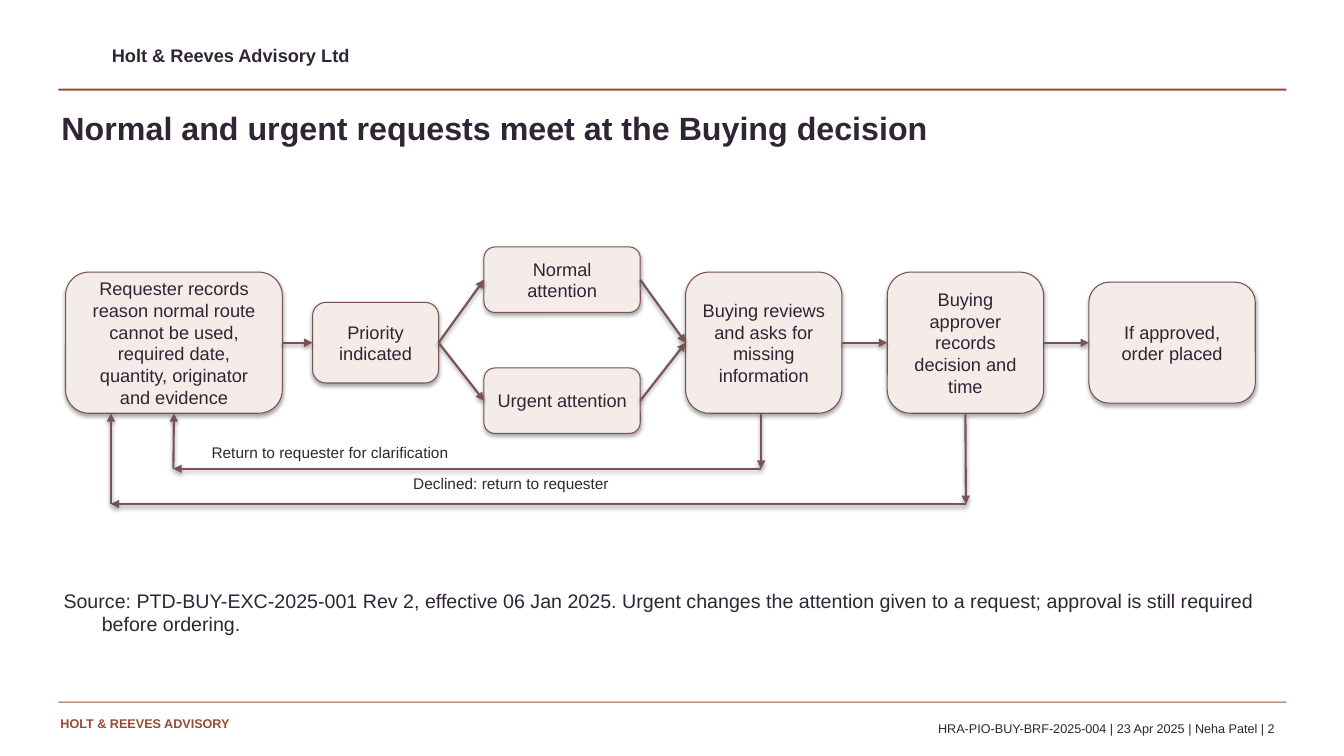
from dataclasses import dataclass
from itertools import pairwise
from lxml import etree
from pptx import Presentation
from pptx import util as u
from pptx.dml.color import RGBColor
from pptx.enum import shapes, text
from pptx.oxml import ns

FIRM = "Holt & Reeves Advisory Ltd"
FOOTER_FIRM = "HOLT & REEVES ADVISORY"
HEADLINE = "Normal and urgent requests meet at the Buying decision"
SOURCE = (
    "Source: PTD-BUY-EXC-2025-001 Rev 2, effective 06 Jan 2025. Urgent changes the "
    "attention given to a request; approval is still required before ordering."
)
REFERENCE = "HRA-PIO-BUY-BRF-2025-004 | 23 Apr 2025 | Neha Patel | 2"

STEPS = {
    "request": ("Requester records reason normal route cannot be used, required date, "
                "quantity, originator and evidence", (0.65, 2.7, 2.15, 1.4)),
    "priority": ("Priority indicated", (3.1, 3, 1.25, 0.8)),
    "normal": ("Normal attention", (4.8, 2.45, 1.55, 0.65)),
    "urgent": ("Urgent attention", (4.8, 3.65, 1.55, 0.65)),
    "review": ("Buying reviews and asks for missing information", (6.8, 2.7, 1.55, 1.4)),
    "approval": ("Buying approver records decision and time", (8.8, 2.7, 1.55, 1.4)),
    "order": ("If approved, order placed", (10.8, 2.8, 1.65, 1.2)),
}
FORWARD = [
    ("request", "priority"), ("priority", "normal"), ("priority", "urgent"),
    ("normal", "review"), ("urgent", "review"), ("review", "approval"), ("approval", "order"),
]
STEP_BOTTOM = 4.1
RETURNS = [
    ("Return to requester for clarification", (2, 4.35, 3.5, 0.25), 7.55, 4.65, 1.72,
     None, "request"),
    ("Declined: return to requester", (4, 4.65, 3, 0.25), 9.58, 5, 1.1, "approval", None),
]
BOTTOM, LEFT, RIGHT = 2, 1, 3


@dataclass(frozen=True)
class Theme:
    font: str = "Arial"
    ink: str = "302435"
    rust: str = "964B37"
    step_fill: str = "F4ECE8"
    step_line: str = "795258"
    headline: float = 23
    source: float = 14
    step: float = 13
    label: float = 11
    footer: float = 9


THEME = Theme()


def rgb(color):
    return RGBColor.from_string(color)


def inches(*lengths):
    return [u.Inches(length) for length in lengths]


def place(shape, box):
    shape.left, shape.top, shape.width, shape.height = inches(*box)


def write(frame, words, size=THEME.step, color=THEME.ink, bold=False,
          align=text.PP_ALIGN.LEFT, anchor=text.MSO_ANCHOR.TOP, inset=None, hanging=0):
    frame.word_wrap = True
    frame.auto_size = text.MSO_AUTO_SIZE.NONE
    frame.vertical_anchor = anchor
    if inset is not None:
        frame.margin_left = frame.margin_top = u.Inches(inset)
        frame.margin_right = frame.margin_bottom = u.Inches(inset)
    frame.text = words
    paragraph = frame.paragraphs[0]
    paragraph.alignment = align
    paragraph.space_before = u.Pt(0)
    if hanging:
        properties = paragraph._p.get_or_add_pPr()
        properties.set("marL", str(u.Inches(hanging)))
        properties.set("indent", str(-u.Inches(hanging)))
        etree.SubElement(properties, ns.qn("a:buNone"))
    font = paragraph.runs[0].font
    font.name, font.size, font.bold = THEME.font, u.Pt(size), bold
    font.color.rgb = rgb(color)


def add_label(box, words, **style):
    write(slide.shapes.add_textbox(*inches(*box)).text_frame, words, **style)


def add_plain(kind, box, color):
    shape = slide.shapes.add_shape(kind, *inches(*box))
    shape.shadow.inherit = False
    shape.fill.solid()
    shape.fill.fore_color.rgb = rgb(color)
    shape.line.fill.background()
    return shape


def cast_shadow(effects, opacity, distance):
    shadow = etree.SubElement(effects, ns.qn("a:outerShdw"), blurRad=str(u.Pt(3.1)),
                              dist=str(u.Pt(distance)), dir="5400000", rotWithShape="0")
    black = etree.SubElement(shadow, ns.qn("a:srgbClr"), val="000000")
    etree.SubElement(black, ns.qn("a:alpha"), val=str(opacity * 1000))


def add_step(words, box):
    step = add_plain(shapes.MSO_SHAPE.ROUNDED_RECTANGLE, box, THEME.step_fill)
    step.line.color.rgb = rgb(THEME.step_line)
    step.line.width = u.Pt(0.75)
    cast_shadow(step._element.spPr.find(ns.qn("a:effectLst")), 35, 1.8)
    write(step.text_frame, words, align=text.PP_ALIGN.CENTER, anchor=text.MSO_ANCHOR.MIDDLE)
    return step


def add_arrow(start=(0, 0), end=(0, 0), source=None, target=None):
    arrow = slide.shapes.add_connector(shapes.MSO_CONNECTOR.STRAIGHT, *inches(*start, *end))
    if source:
        arrow.begin_connect(*source)
    if target:
        arrow.end_connect(*target)
    arrow.line.color.rgb = rgb(THEME.step_line)
    arrow.line.width = u.Pt(1.5)
    properties = arrow._element.spPr
    etree.SubElement(properties.find(ns.qn("a:ln")), ns.qn("a:tailEnd"), type="triangle")
    cast_shadow(etree.SubElement(properties, ns.qn("a:effectLst")), 38, 1.6)


deck = Presentation()
deck.slide_width, deck.slide_height = inches(13.33, 7.5)
slide = deck.slides.add_slide(deck.slide_layouts[1])

add_label((1.11, 0.44, 6, 0.27), FIRM, bold=True, inset=0)
for top, thickness in ((0.88, 0.02), (6.96, 0.01)):
    add_plain(shapes.MSO_SHAPE.RECTANGLE, (0.58, top, 12.18, thickness), THEME.rust)
add_label((0.6, 7.1, 3.4, 0.25), FOOTER_FIRM, size=THEME.footer, color=THEME.rust,
          bold=True, inset=0)
add_label((4.12, 7.1, 8.62, 0.2), REFERENCE, size=THEME.footer, align=text.PP_ALIGN.RIGHT)

headline, source_note = slide.placeholders
place(headline, (0.61, 1.07, 12, 0.78))
write(headline.text_frame, HEADLINE, size=THEME.headline, bold=True, inset=0)
place(source_note, (0.63, 5.84, 11.94, 0.8))
write(source_note.text_frame, SOURCE, size=THEME.source, inset=0, hanging=0.38)

steps = {name: add_step(*details) for name, details in STEPS.items()}
for before, after in FORWARD:
    add_arrow(source=(steps[before], RIGHT), target=(steps[after], LEFT))

for words, box, start_x, lane, end_x, leaves, enters in RETURNS:
    route = [(start_x, STEP_BOTTOM), (start_x, lane), (end_x, lane), (end_x, STEP_BOTTOM)]
    for leg, (start, end) in enumerate(pairwise(route)):
        add_arrow(start, end,
                  source=(steps[leaves], BOTTOM) if leaves and leg == 0 else None,
                  target=(steps[enters], BOTTOM) if enters and leg == 2 else None)
    add_label(box, words, size=THEME.label)

deck.save("out.pptx")
